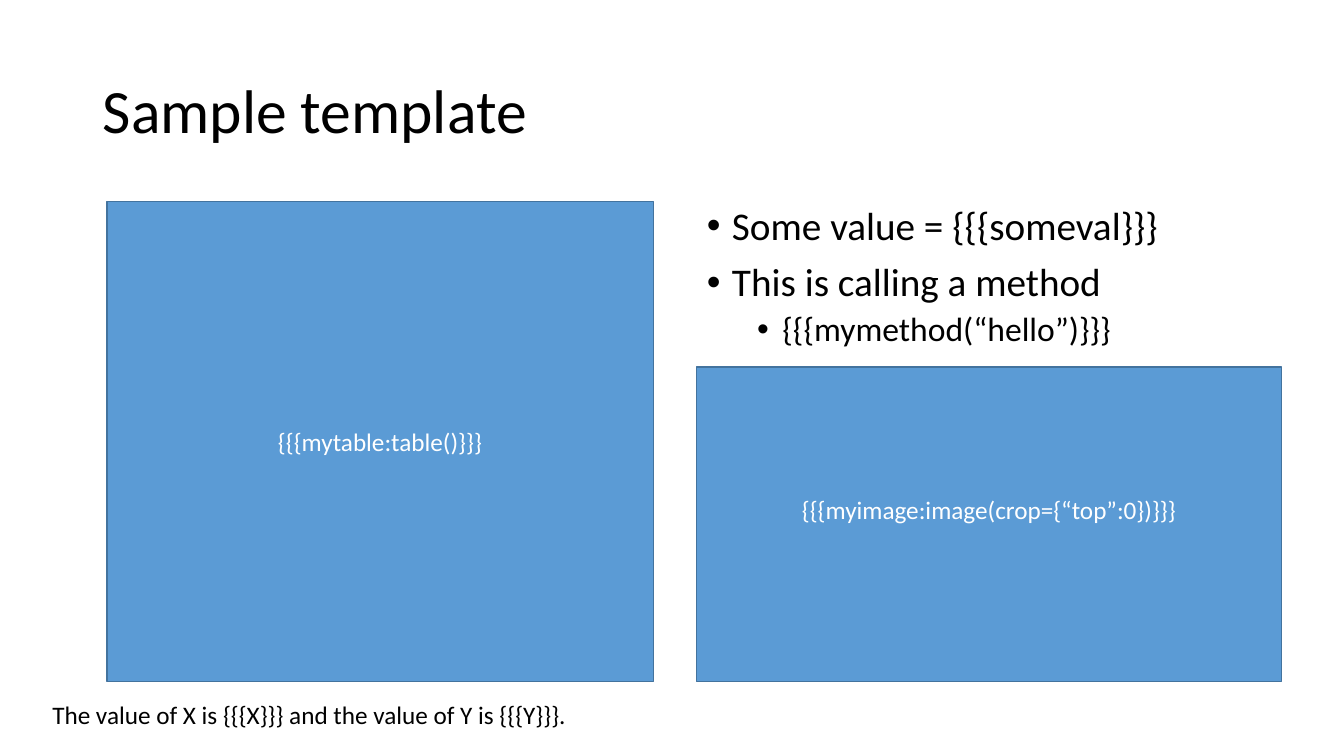
from lxml import etree
from pptx import Presentation
from pptx.dml.color import RGBColor
from pptx.enum.shapes import MSO_SHAPE
from pptx.enum.text import MSO_ANCHOR, MSO_AUTO_SIZE, PP_ALIGN
from pptx.oxml.ns import qn
from pptx.util import Inches, Pt

BLACK = RGBColor(0x00, 0x00, 0x00)
WHITE = RGBColor(0xFF, 0xFF, 0xFF)
BLUE = RGBColor(0x5B, 0x9B, 0xD5)
DARK_BLUE = RGBColor(0x43, 0x73, 0x9E)

# Bullet level: (text size, left indent in inches, space before)
LEVELS = {0: (28, 0.25, 10), 1: (24, 0.75, 5)}
HANGING = 0.25


def place(shape, box):
    for name, value in zip(("left", "top", "width", "height"), box):
        setattr(shape, name, Inches(value))


def write(paragraph, text, size, color=BLACK, **formats):
    run = paragraph.add_run()
    run.text = text
    for name, value in {"name": "Calibri", "size": Pt(size)}.items():
        setattr(run.font, name, value)
    run.font.color.rgb = color
    for name, value in formats.items():
        setattr(paragraph, name, value)


def set_frame(frame, anchor):
    settings = {"word_wrap": True, "auto_size": MSO_AUTO_SIZE.NONE,
                "vertical_anchor": anchor}
    for name, value in settings.items():
        setattr(frame, name, value)


def add_bullet_mark(paragraph, indent):
    properties = paragraph._p.get_or_add_pPr()
    properties.set("marL", str(Inches(indent)))
    properties.set("indent", str(-Inches(HANGING)))
    etree.SubElement(properties, qn("a:buFont")).set("typeface", "Arial")
    etree.SubElement(properties, qn("a:buChar")).set("char", "•")


def fill_title(slide, box, text):
    title = slide.shapes.title
    place(title, box)
    set_frame(title.text_frame, MSO_ANCHOR.MIDDLE)
    write(title.text_frame.paragraphs[0], text, 44,
          alignment=PP_ALIGN.LEFT, line_spacing=0.9)


def fill_bullets(slide, box, items):
    body = slide.placeholders[1]
    place(body, box)
    frame = body.text_frame
    set_frame(frame, MSO_ANCHOR.TOP)
    for index, (level, text) in enumerate(items):
        paragraph = frame.add_paragraph() if index else frame.paragraphs[0]
        size, indent, space = LEVELS[level]
        write(paragraph, text, size, level=level, line_spacing=0.9,
              space_before=Pt(space))
        add_bullet_mark(paragraph, indent)


def add_panel(slide, box, text, bottom_margin=0.05):
    panel = slide.shapes.add_shape(MSO_SHAPE.RECTANGLE, *map(Inches, box))
    panel.shadow.inherit = False
    panel.fill.solid()
    panel.fill.fore_color.rgb = BLUE
    panel.line.color.rgb = DARK_BLUE
    panel.line.width = Pt(1)
    set_frame(panel.text_frame, MSO_ANCHOR.MIDDLE)
    panel.text_frame.margin_bottom = Inches(bottom_margin)
    write(panel.text_frame.paragraphs[0], text, 18, WHITE,
          alignment=PP_ALIGN.CENTER)


def add_footnote(slide, box, text):
    footnote = slide.shapes.add_textbox(*map(Inches, box))
    set_frame(footnote.text_frame, MSO_ANCHOR.TOP)
    write(footnote.text_frame.paragraphs[0], text, 18)


def main():
    presentation = Presentation()
    presentation.slide_width = Inches(13.33)
    presentation.slide_height = Inches(7.5)
    slide = presentation.slides.add_slide(presentation.slide_layouts[1])

    # Title and bullet list
    fill_title(slide, (0.92, 0.4, 11.5, 1.45), "Sample template")
    fill_bullets(slide, (6.91, 2, 5.51, 4.76), [
        (0, "Some value = {{{someval}}}"),
        (0, "This is calling a method"),
        (1, "{{{mymethod(“hello”)}}}"),
    ])

    # Table and image panels; the image label sits above the middle
    add_panel(slide, (1.06, 2, 5.42, 4.76), "{{{mytable:table()}}}")
    add_panel(slide, (6.91, 3.64, 5.8, 3.12),
              "{{{myimage:image(crop={“top”:0})}}}", bottom_margin=0.35)

    # Line below the panels
    add_footnote(slide, (0.42, 6.89, 11.79, 0.4),
                 "The value of X is {{{X}}} and the value of Y is {{{Y}}}.")

    presentation.save("out.pptx")


if __name__ == "__main__":
    main()
